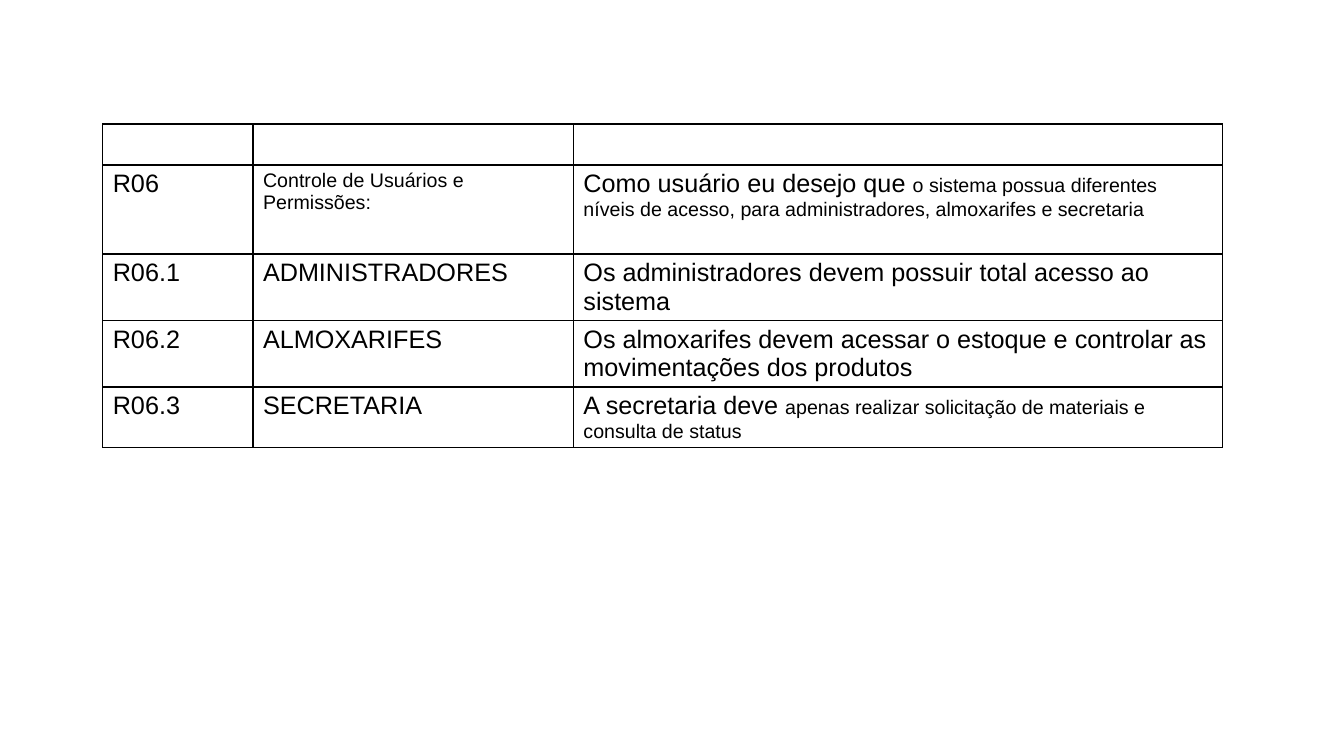
from lxml.etree import SubElement
from pptx import Presentation
from pptx.dml.color import RGBColor
from pptx.oxml.ns import qn
from pptx.util import Pt

BLACK = RGBColor(0x00, 0x00, 0x00)
FONT = "Arial"
LARGE, SMALL = 18, 14

COLUMN_WIDTHS = (107.3, 228.9, 463.7)
ROW_HEIGHTS = (27.1, 63.6, 47.4, 47.4, 43)

# Each cell is a list of (text, size) runs.
REQUIREMENTS = (
    ([], [], []),
    (
        [("R06", LARGE)],
        [("Controle de Usuários e Permissões:", SMALL)],
        [
            ("Como usuário eu desejo que ", LARGE),
            ("o sistema possua diferentes níveis de acesso, "
             "para administradores, almoxarifes e secretaria", SMALL),
        ],
    ),
    (
        [("R06.1", LARGE)],
        [("ADMINISTRADORES", LARGE)],
        [("Os administradores devem possuir total acesso ao sistema", LARGE)],
    ),
    (
        [("R06.2", LARGE)],
        [("ALMOXARIFES", LARGE)],
        [("Os almoxarifes devem acessar o estoque e controlar as "
          "movimentações dos produtos", LARGE)],
    ),
    (
        [("R06.3", LARGE)],
        [("SECRETARIA", LARGE)],
        [
            ("A secretaria deve ", LARGE),
            ("apenas realizar solicitação de materiais e consulta de status", SMALL),
        ],
    ),
)


def add_borders(cell, color, width):
    """Outline all four sides; must run before the fill, which follows in the schema."""
    properties = cell._tc.get_or_add_tcPr()
    for side in ("a:lnL", "a:lnR", "a:lnT", "a:lnB"):
        line = SubElement(properties, qn(side), w=str(Pt(width)))
        fill = SubElement(line, qn("a:solidFill"))
        SubElement(fill, qn("a:srgbClr"), val=str(color))


def fill_cell(cell, runs):
    add_borders(cell, BLACK, 1)
    cell.fill.background()
    paragraph = cell.text_frame.paragraphs[0]
    for text, size in runs:
        run = paragraph.add_run()
        run.text = text
        run.font.name = FONT
        run.font.size = Pt(size)
        run.font.bold = False
        run.font.color.rgb = BLACK


def add_requirements_table(slide, left, top):
    table = slide.shapes.add_table(
        len(ROW_HEIGHTS), len(COLUMN_WIDTHS), Pt(left), Pt(top),
        Pt(sum(COLUMN_WIDTHS)), Pt(sum(ROW_HEIGHTS)),
    ).table
    table.first_row = False
    table.horz_banding = False
    for column, width in zip(table.columns, COLUMN_WIDTHS):
        column.width = Pt(width)
    for row, height, requirement in zip(table.rows, ROW_HEIGHTS, REQUIREMENTS):
        row.height = Pt(height)
        for cell, runs in zip(row.cells, requirement):
            fill_cell(cell, runs)


def main():
    presentation = Presentation()
    presentation.slide_width = Pt(960)
    presentation.slide_height = Pt(540)
    blank_layout = presentation.slide_layouts[6]
    slide = presentation.slides.add_slide(blank_layout)
    add_requirements_table(slide, left=73.4, top=88.6)
    presentation.save("out.pptx")


if __name__ == "__main__":
    main()
